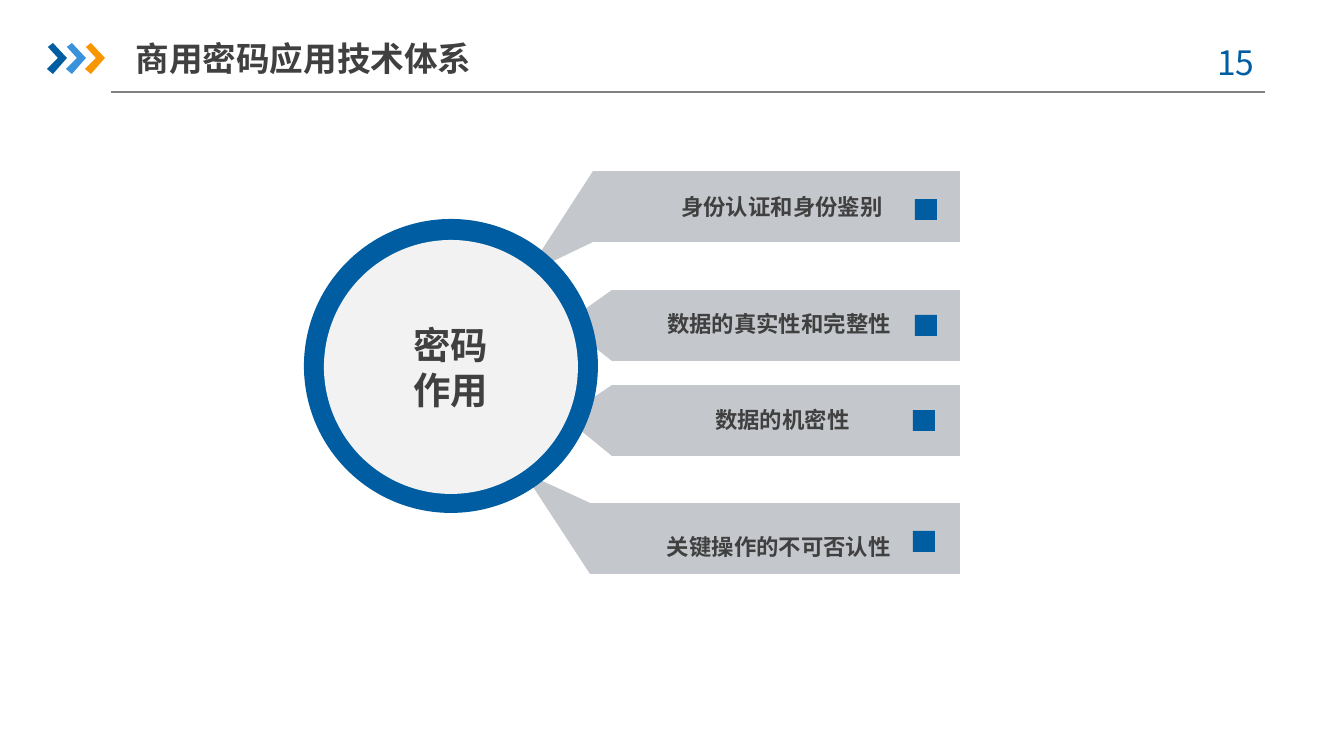
from lxml import etree
from pptx import Presentation, util as u
from pptx.dml.color import RGBColor
from pptx.enum import shapes as sh, text as tx
from pptx.oxml.ns import qn

PX = 914400 / 134.4
FONT = "Noto Sans CJK SC"
BLUE, INK, GREY, PALE = "005DA2", "404040", "C4C7CB", "F2F2F2"
MID, RIGHT = tx.PP_ALIGN.CENTER, tx.PP_ALIGN.RIGHT

TITLE, PAGE = "商用密码应用技术体系", "15"
HUB = ["密码", "作用"]
ARROWS = [BLUE, "3992DB", "F79600"]
ARROW = [(48, 47), (53, 43), (67, 58), (53, 74), (47, 69), (58, 58)]
STEP = 19
BAR_END, BAR_H = 960, 71
# label, align, label box (left, top, width), bar corner, tail tips, marker
ROWS = [
    ("身份认证和身份鉴别", MID, (638, 187, 288), (593, 171),
     [(536, 259), (543, 266)], (915, 199)),
    ("数据的真实性和完整性", RIGHT, (641, 304, 250), (612, 290),
     [(574, 317), (574, 331)], (915, 315)),
    ("数据的机密性", MID, (648, 400, 269), (612, 385),
     [(574, 411), (574, 425)], (913, 410)),
    ("关键操作的不可否认性", RIGHT, (640, 527, 251), (590, 503),
     [(540, 480), (533, 487)], (913, 531)),
]


def emu(*vals):
    return [u.Emu(round(v * PX)) for v in vals]


def rgb(code):
    return RGBColor.from_string(code)


def paint(shape, color):
    shape.shadow.inherit = False
    shape.fill.solid()
    shape.fill.fore_color.rgb = rgb(color)
    shape.line.fill.background()
    return shape


def poly(pts, color):
    pen = slide.shapes.build_freeform(*pts[0], scale=PX)
    pen.add_line_segments(pts[1:], close=True)
    return paint(pen.convert_to_shape(), color)


def solid(kind, box, color):
    return paint(slide.shapes.add_shape(kind, *emu(*box)), color)


def write(shape, lines, size, color=INK, bold=True, align=MID,
          anchor=tx.MSO_ANCHOR.TOP, inset=0):
    frame = shape.text_frame
    frame.word_wrap = True
    frame.auto_size = tx.MSO_AUTO_SIZE.NONE
    frame.vertical_anchor = anchor
    frame.margin_left = frame.margin_right = u.Inches(inset)
    frame.margin_top = frame.margin_bottom = u.Inches(0.05)
    frame.text = "\n".join(lines)
    for para in frame.paragraphs:
        para.alignment = align
        font = para.font
        font.size, font.bold, font.name = u.Pt(size), bold, FONT
        font.color.rgb = rgb(color)
        props = para._p.pPr.find(qn("a:defRPr"))
        etree.SubElement(props, qn("a:ea"), typeface=FONT)


def label(box, line, size, **style):
    write(slide.shapes.add_textbox(*emu(*box)), [line], size, **style)


deck = Presentation()
deck.slide_width, deck.slide_height = emu(1344, 756)
slide = deck.slides.add_slide(deck.slide_layouts[5])

# Header
rule = slide.shapes.add_connector(
    sh.MSO_CONNECTOR.STRAIGHT, *emu(111, 92, 1265, 92))
rule.line.color.rgb = rgb("808080")
rule.line.width = u.Pt(0.75)
etree.SubElement(rule._element.spPr, qn("a:effectLst"))
for i, color in enumerate(ARROWS):
    poly([(x + i * STEP, y) for x, y in ARROW], color)
label((1187, 35, 98, 54), PAGE, 18, color=BLUE, bold=False, inset=0.1)
title = slide.shapes.title
title.left, title.top, title.width, title.height = emu(126, 30, 355, 56)
write(title, [TITLE], 18, anchor=tx.MSO_ANCHOR.MIDDLE)

# Bars with tails that reach under the hub
for name, align, (x, y, w), (left, top), tips, mark in ROWS:
    end = (left, top + BAR_H)
    poly([(left, top), *tips, end], GREY)
    poly([(left, top), (BAR_END, top), (BAR_END, top + BAR_H), end], GREY)
    solid(sh.MSO_SHAPE.RECTANGLE, (*mark, 22, 21), BLUE)
    label((x, y, w, 42), name, 12, align=align)

# Hub
solid(sh.MSO_SHAPE.OVAL, (304, 219, 294, 294), BLUE)
hub = solid(sh.MSO_SHAPE.OVAL, (324, 240, 254, 254), PALE)
write(hub, HUB, 20, anchor=tx.MSO_ANCHOR.MIDDLE, inset=0.1)

deck.save("out.pptx")
